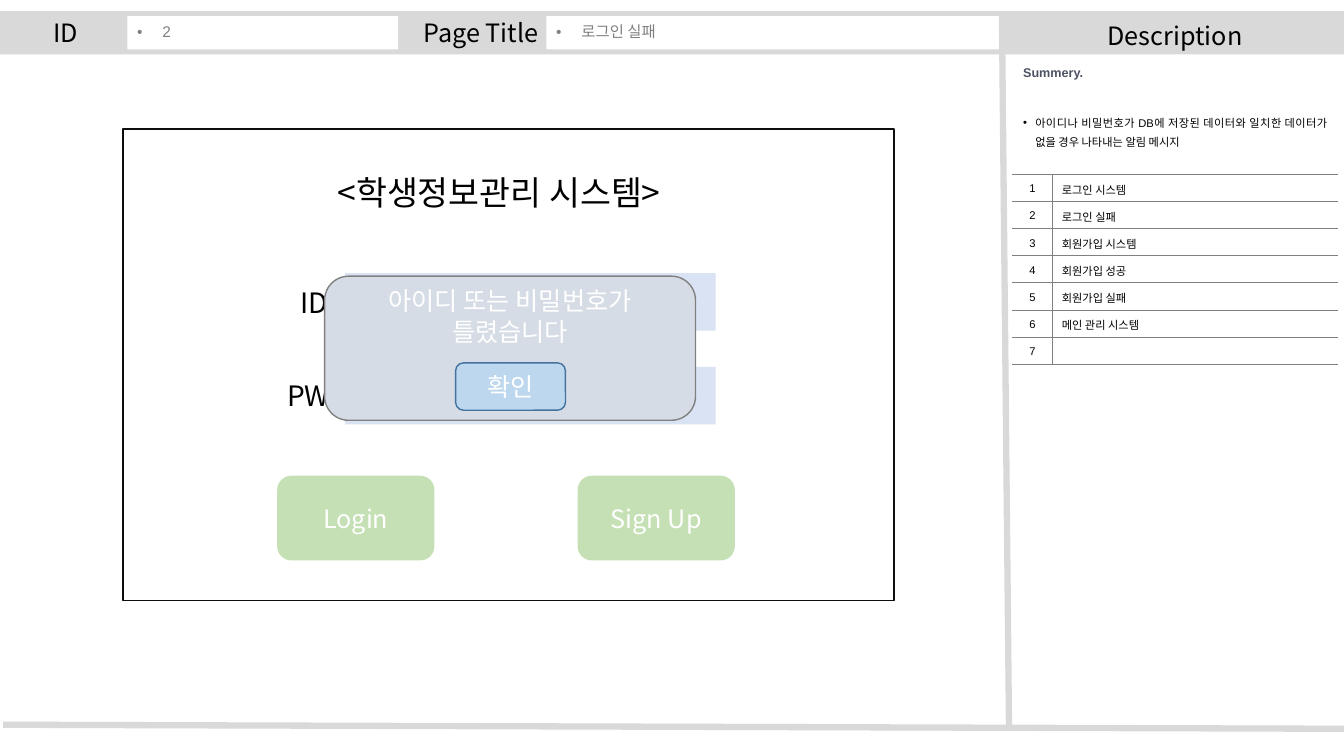
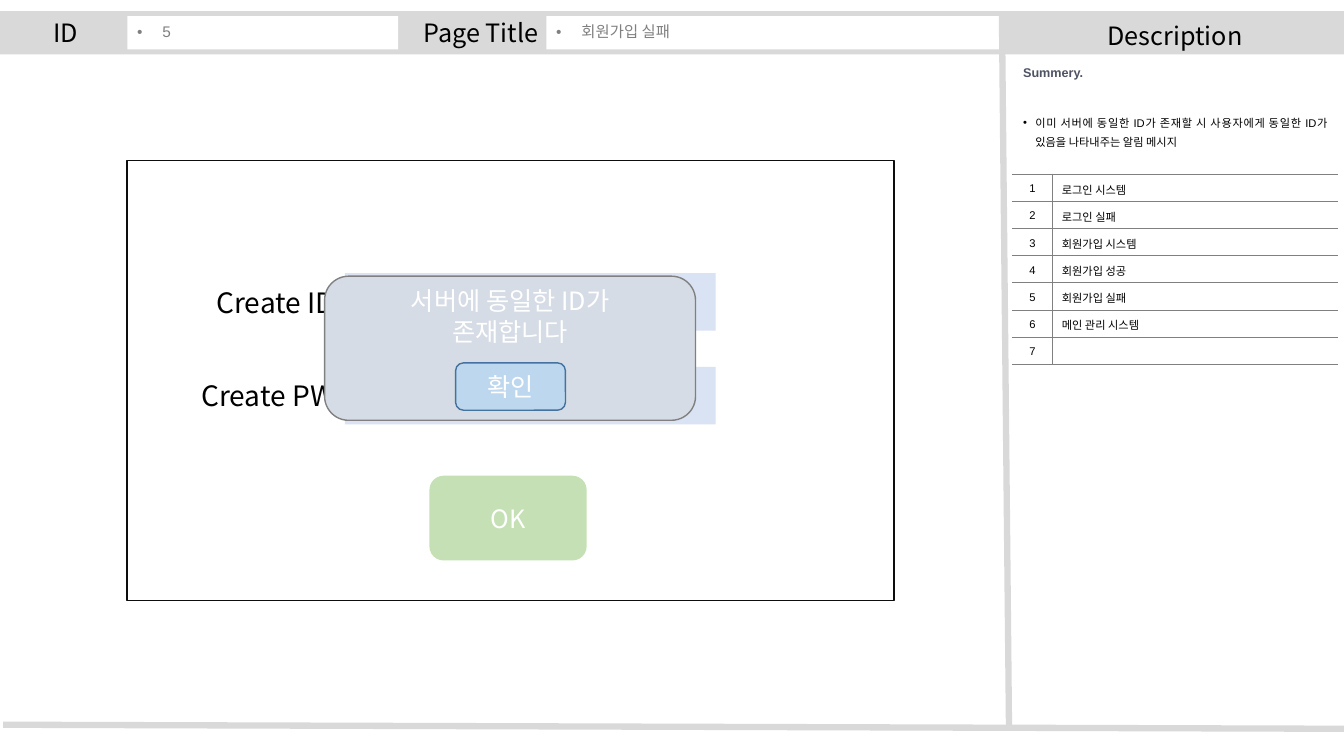
import dataclasses

import lxml.etree
import pptx
import pptx.dml.color
import pptx.enum.shapes
import pptx.enum.text
import pptx.oxml.ns
import pptx.util

KIND = pptx.enum.shapes.MSO_SHAPE
ALIGN = pptx.enum.text.PP_ALIGN
ANCHOR = pptx.enum.text.MSO_ANCHOR
qn = pptx.oxml.ns.qn
COLS, ROWS = 160, 90
WIDE, HIGH = pptx.util.Inches(13.33), pptx.util.Inches(7.5)


@dataclasses.dataclass(frozen=True)
class Theme:
    sans: str = "Noto Sans CJK KR"
    plain: str = "Arial"
    black: str = "000000"
    white: str = "FFFFFF"
    band: str = "D9D9D9"
    grey: str = "808080"
    pale: str = "A6A6A6"
    slate: str = "4E5263"
    frame: str = "0D0D0D"
    field: str = "DAE3F3"
    green: str = "C5E0B4"
    alert: str = "D6DCE5"
    blue: str = "BDD7EE"
    edge: str = "43739E"
    title: int = 24
    label: int = 20
    head: int = 18
    slot: int = 11
    sum: int = 9
    note: int = 8
    rule: float = 4.5
    thin: float = 1
    hair: float = 0.25


@dataclasses.dataclass(frozen=True)
class Box:
    x: float
    y: float
    w: float
    h: float

    def sub(self, x, y, w, h):
        return Box(self.x + x, self.y + y, w, h)

    def emu(self):
        return across(self.x), down(self.y), across(self.w), down(self.h)


T = Theme()
PAGE = Box(0, 0, COLS, ROWS)


def across(cols):
    return round(WIDE * cols / COLS)


def down(rows):
    return round(HIGH * rows / ROWS)


def paint(tone):
    return pptx.dml.color.RGBColor.from_string(tone)


def style(frame, size, tone, font=T.sans, align=None, bold=False, space=None):
    for par in frame.paragraphs:
        par.alignment = align
        par.line_spacing = space
        if not par.runs:
            par._p.get_or_add_endParaRPr().set("sz", str(size * 100))
        for run in par.runs:
            run.font.size = pptx.util.Pt(size)
            run.font.name = font
            run.font.bold = bold
            run.font.color.rgb = paint(tone)
            east = lxml.etree.SubElement(run._r.rPr, qn("a:ea"))
            east.set("typeface", T.sans)


def bullet(par, inset):
    props = par._p.get_or_add_pPr()
    props.set("marL", str(inset))
    props.set("indent", str(-inset))
    lxml.etree.SubElement(props, qn("a:buFont")).set("typeface", T.plain)
    lxml.etree.SubElement(props, qn("a:buChar")).set("char", "•")


def block(slide, box, fill=None, line=None, kind=KIND.RECTANGLE, text="", tone=T.white):
    shape = slide.shapes.add_shape(kind, *box.emu())
    shape.shadow.inherit = False
    if fill:
        shape.fill.solid()
        shape.fill.fore_color.rgb = paint(fill)
    else:
        shape.fill.background()
    if line:
        shape.line.color.rgb = paint(line)
        shape.line.width = pptx.util.Pt(T.thin)
    else:
        shape.line.fill.background()
    if text:
        shape.text_frame.text = text
        shape.text_frame.vertical_anchor = ANCHOR.MIDDLE
        style(shape.text_frame, T.head, tone, align=ALIGN.CENTER)
    return shape


def rule(slide, start, end):
    line = slide.shapes.add_connector(
        pptx.enum.shapes.MSO_CONNECTOR.STRAIGHT,
        across(start[0]), down(start[1]), across(end[0]), down(end[1]))
    line.line.color.rgb = paint(T.band)
    line.line.width = pptx.util.Pt(T.rule)
    lxml.etree.SubElement(line._element.spPr, qn("a:effectLst"))


def label(slide, box, text, size):
    note = slide.shapes.add_textbox(*box.emu())
    note.text_frame.word_wrap = False
    note.text_frame.text = text
    style(note.text_frame, size, T.black)


def slot(slide, box, text):
    frame = block(slide, box, T.white, text=text).text_frame
    style(frame, T.slot, T.grey, T.plain, space=0.9)
    frame.paragraphs[0].space_before = pptx.util.Pt(10)
    bullet(frame.paragraphs[0], across(3))


def header(slide, box, number, title):
    block(slide, box, T.band)
    for x, y, w, text in ((47.28, 0.6, 19.92, "Page Title"), (0.36, 0.6, 14.88, "ID"),
                          (119.76, 0.96, 40.24, "Description")):
        block(slide, box.sub(x, y, w, 3.96), T.band, text=text, tone=T.black)
    slot(slide, box.sub(15.16, 0.6, 32.24, 3.96), number)
    slot(slide, box.sub(65.04, 0.6, 54.24, 3.96), title)


def rails(slide, box):
    rule(slide, (box.x + 119.28, box.y + 1.92), (box.x + 120.12, box.y + 86.76))
    rule(slide, (box.x + 0.36, box.y + 86.28), (box.x + box.w, box.y + 86.76))


def form(slide, box, fields, first, keys):
    for row, (text, x, w) in enumerate(fields):
        top = first + row * 11.16
        block(slide, box.sub(41.04, top, 44.16, 6.84), T.field)
        label(slide, box.sub(x, top + 0.84, w, 5.28), text, T.label)
    for text, x in keys:
        block(slide, box.sub(x, first + 24.12, 18.72, 10.08), T.green,
              kind=KIND.ROUNDED_RECTANGLE, text=text)


def alert(slide, box, text):
    frame = block(slide, box, T.alert, T.grey, KIND.ROUNDED_RECTANGLE, text).text_frame
    frame.vertical_anchor = ANCHOR.TOP
    frame.margin_top = down(0.3)
    block(slide, box.sub(15.6, 10.32, 13.08, 5.64), T.blue, T.edge,
          KIND.ROUNDED_RECTANGLE, "확인")


def finish(cell, edges, tone=T.grey):
    props = cell._tc.get_or_add_tcPr()
    for side in edges:
        line = lxml.etree.SubElement(props, qn("a:ln" + side))
        line.set("w", str(pptx.util.Pt(T.hair)))
        fill = lxml.etree.SubElement(line, qn("a:solidFill"))
        lxml.etree.SubElement(fill, qn("a:srgbClr")).set("val", tone)
    cell.fill.solid()
    cell.fill.fore_color.rgb = paint(T.white)
    cell.vertical_anchor = ANCHOR.MIDDLE
    cell.margin_top = cell.margin_bottom = down(0.3)


def panel(slide, box, note, names):
    grid = slide.shapes.add_table(len(names) + 2, 2, *box.emu()).table
    grid.first_row = grid.horz_banding = False
    for col, wide in zip(grid.columns, (4.6, box.w - 4.6)):
        col.width = across(wide)
    for row, high in zip(grid.rows, [3.4, 10.35] + [3.24] * len(names)):
        row.height = down(high)
    for row in range(2):
        grid.cell(row, 0).merge(grid.cell(row, 1))
    top, body = grid.cell(0, 0), grid.cell(1, 0)
    top.text_frame.text, body.text_frame.text = "Summery.", note
    style(top.text_frame, T.sum, T.slate, T.plain, bold=True)
    style(body.text_frame, T.note, T.black, T.plain, ALIGN.JUSTIFY, space=1.2)
    bullet(body.text_frame.paragraphs[0], across(1.44))
    for col in range(2):
        finish(grid.cell(0, col), "B", T.pale)
        finish(grid.cell(1, col), "B")
    for row, name in enumerate(names, 1):
        for col, text, align, edges in ((0, str(row), ALIGN.CENTER, "RTB"),
                                        (1, name, ALIGN.JUSTIFY, "LTB")):
            cell = grid.cell(row + 1, col)
            cell.text_frame.text = text
            style(cell.text_frame, T.note, T.black, T.plain, align, space=1.2)
            finish(cell, edges)


NAMES = ("로그인 시스템", "로그인 실패", "회원가입 시스템", "회원가입 성공",
         "회원가입 실패", "메인 관리 시스템", "")


def screen(deck, number, frame, title, fields, keys, warning, note):
    slide = deck.slides.add_slide(deck.slide_layouts[6])
    header(slide, PAGE.sub(0, 1.32, COLS, 5.16), number, NAMES[int(number) - 1])
    rails(slide, PAGE)
    block(slide, frame, line=T.frame)
    if title:
        label(slide, PAGE.sub(39, 19.92, 45.84, 6), title, T.title)
    form(slide, PAGE, fields, 32.52, keys)
    alert(slide, PAGE.sub(38.64, 32.88, 44.16, 17.16), warning)
    panel(slide, PAGE.sub(120.6, 6.96, 38.64, 36.43), note, NAMES)


deck = pptx.Presentation()
deck.slide_width, deck.slide_height = WIDE, HIGH
screen(deck, "2", Box(14.64, 15.36, 91.8, 56.16), "<학생정보관리 시스템>",
       (("ID", 34.56, 5.76), ("PW", 33, 7.68)),
       (("Login", 33), ("Sign Up", 68.76)),
       "아이디 또는 비밀번호가\n틀렸습니다",
       "아이디나 비밀번호가 DB에 저장된 데이터와 일치한 데이터가 없을 경우 나타내는 알림 메시지")
screen(deck, "5", Box(15.12, 19.08, 91.32, 52.44), "",
       (("Create ID", 24.6, 16.68), ("Create PW", 22.8, 18.6)),
       (("OK", 51.12),),
       "서버에 동일한 ID가\n존재합니다",
       "이미 서버에 동일한 ID가 존재할 시 사용자에게 동일한 ID가 있음을 나타내주는 알림 메시지")
deck.save("out.pptx")
